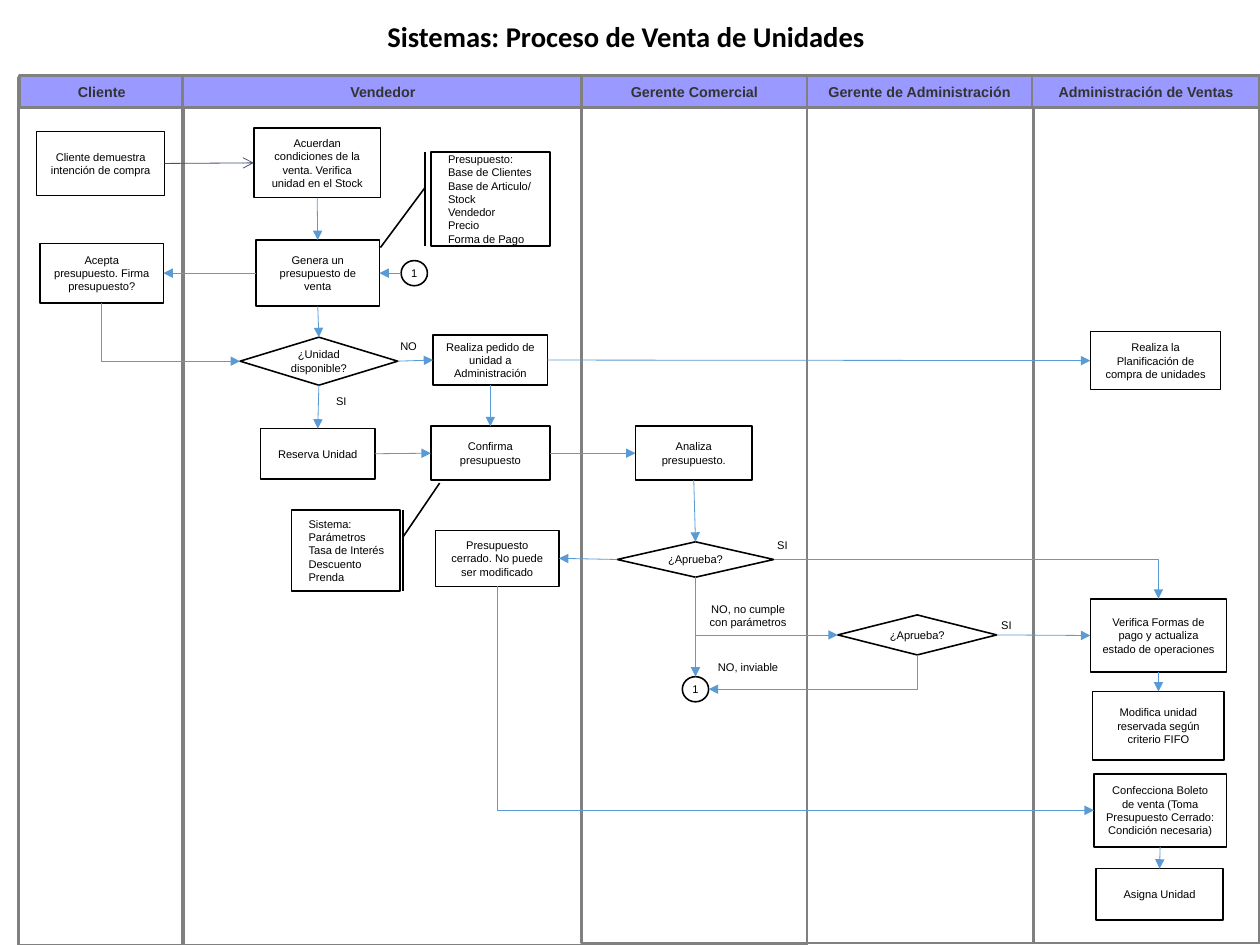
from collections import namedtuple

from pptx import Presentation
from pptx.dml.color import RGBColor
from pptx.enum.shapes import MSO_CONNECTOR as Connector, MSO_SHAPE as Preset
from pptx.enum.text import MSO_ANCHOR as Anchor, PP_ALIGN as Align
from pptx.oxml.ns import qn
from pptx.oxml.xmlchemy import OxmlElement
from pptx.util import Cm, Inches, Pt

BLACK = RGBColor(0x00, 0x00, 0x00)
WHITE = RGBColor(0xFF, 0xFF, 0xFF)
GRAY = RGBColor(0x80, 0x80, 0x80)
DARK = RGBColor(0x33, 0x33, 0x33)
LILAC = RGBColor(0x99, 0x99, 0xFF)
BLUE = RGBColor(0x5B, 0x9B, 0xD5)
SLATE = RGBColor(0x44, 0x54, 0x6A)

Box = namedtuple("Box", "left top width height")
LANE_TOP, LANE_HEIGHT, HEADER_HEIGHT = 0.66, 7.59, 0.28
TOP, LEFT, BOTTOM, RIGHT = range(4)
RECT, DIAMOND, CIRCLE = Preset.RECTANGLE, Preset.DIAMOND, Preset.OVAL

FRAMES = [(0.16, 0.68, 1.45), (1.6, 0.68, 5.46), (5.09, 0.66, 5.93), (7.06, 0.66, 1.98)]

LANES = [
    ("Cliente", 0.17, 1.44, [
        ("demuestra", RECT, (0.15, 0.49, 1.12, 0.56), "Cliente demuestra intención de compra"),
        ("acepta", RECT, (0.18, 1.47, 1.08, 0.52), "Acepta presupuesto. Firma presupuesto?"),
    ], []),
    ("Vendedor", 1.6, 3.5, [
        ("acuerdan", RECT, (0.62, 0.46, 1.11, 0.61),
         "Acuerdan condiciones de la venta. Verifica unidad en el Stock"),
        ("genera", RECT, (0.64, 1.44, 1.08, 0.58), "Genera un presupuesto de venta"),
        ("disponible", DIAMOND, (0.5, 2.29, 1.38, 0.42), "¿Unidad disponible?"),
        ("pedido", RECT, (2.19, 2.27, 1, 0.44), "Realiza pedido de unidad a Administración"),
        ("reserva", RECT, (0.68, 3.09, 1, 0.44), "Reserva Unidad"),
        ("confirma", RECT, (2.17, 3.07, 1.04, 0.47), "Confirma presupuesto"),
        ("cerrado", RECT, (2.21, 3.98, 1.08, 0.49), "Presupuesto cerrado. No puede ser modificado"),
        ("regreso", CIRCLE, (1.91, 1.62, 0.23, 0.22), "1"),
    ], [((1.24, 2.74, 0.29, 0.21), "SI"), ((1.76, 2.26, 0.43, 0.2), "NO")]),
    ("Gerente Comercial", 5.09, 1.97, [
        ("analiza", RECT, (0.47, 3.07, 1.02, 0.47), "Analiza presupuesto."),
        ("aprueba comercial", DIAMOND, (0.31, 4.08, 1.37, 0.31), "¿Aprueba?"),
        ("rechazo", CIRCLE, (0.88, 5.26, 0.23, 0.22), "1"),
    ], [((1.61, 4, 0.29, 0.18), "SI"),
        ((0.97, 4.56, 0.97, 0.28), "NO, no cumple con parámetros"),
        ((0.97, 5.07, 0.97, 0.28), "NO, inviable")]),
    ("Gerente de Administración", 7.06, 1.97, [
        ("aprueba administración", DIAMOND, (0.27, 4.72, 1.39, 0.35), "¿Aprueba?"),
    ], [((1.6, 4.7, 0.29, 0.18), "SI")]),
    ("Administración de Ventas", 9.03, 1.99, [
        ("planifica", RECT, (0.51, 2.24, 1.14, 0.51), "Realiza la\nPlanificación de compra de unidades"),
        ("verifica", RECT, (0.51, 4.58, 1.19, 0.64),
         "Verifica Formas de pago y actualiza estado de operaciones"),
        ("modifica", RECT, (0.53, 5.39, 1.15, 0.6), "Modifica unidad reservada según criterio FIFO"),
        ("boleto", RECT, (0.54, 6.11, 1.16, 0.64),
         "Confecciona Boleto de venta (Toma Presupuesto Cerrado: Condición necesaria)"),
        ("asigna", RECT, (0.56, 6.94, 1.11, 0.45), "Asigna Unidad"),
    ], []),
]

NOTES = [
    (Box(3.77, 1.33, 1.04, 0.82), (0.379, -0.049, 1.019, -0.424),
     "Presupuesto:\nBase de Clientes\nBase de Articulo/ Stock\nVendedor\nPrecio\nForma de Pago"),
    (Box(2.55, 4.46, 0.95, 0.71), (0.333, 1.029, -0.33, 1.365),
     "Sistema: Parámetros\nTasa de Interés\nDescuento\nPrenda"),
]

LINKS = [
    ("acuerdan", BOTTOM, "genera", TOP),
    ("genera", LEFT, "acepta", RIGHT),
    ("regreso", LEFT, "genera", RIGHT),
    ("genera", BOTTOM, "disponible", TOP),
    ("acepta", BOTTOM, "disponible", LEFT),
    ("disponible", BOTTOM, "reserva", TOP),
    ("disponible", RIGHT, "pedido", LEFT),
    ("pedido", RIGHT, "planifica", LEFT),
    ("pedido", BOTTOM, "confirma", TOP),
    ("reserva", RIGHT, "confirma", LEFT),
    ("confirma", RIGHT, "analiza", LEFT),
    ("analiza", BOTTOM, "aprueba comercial", TOP),
    ("aprueba comercial", LEFT, "cerrado", RIGHT),
    ("aprueba comercial", RIGHT, "verifica", TOP),
    ("aprueba comercial", BOTTOM, "aprueba administración", LEFT),
    ("aprueba comercial", BOTTOM, "rechazo", TOP),
    ("aprueba administración", BOTTOM, "rechazo", RIGHT),
    ("aprueba administración", RIGHT, "verifica", LEFT),
    ("cerrado", BOTTOM, "boleto", LEFT),
    ("verifica", BOTTOM, "modifica", TOP),
    ("boleto", BOTTOM, "asigna", TOP),
]


def write(shape, text, size=7, color=BLACK, bold=False, align=Align.CENTER,
          font="Arial", anchor=Anchor.MIDDLE, left=0.1, right=0.1):
    frame = shape.text_frame
    frame.word_wrap = True
    frame.vertical_anchor = anchor
    frame.margin_left, frame.margin_right = Inches(left), Inches(right)
    frame.text = text
    for paragraph in frame.paragraphs:
        paragraph.alignment = align
        paragraph.font.name, paragraph.font.size = font, Pt(size)
        paragraph.font.bold = bold
        paragraph.font.color.rgb = color


def add_box(slide, preset, box, fill=WHITE, line=BLACK, weight=1):
    shape = slide.shapes.add_shape(preset, *map(Inches, box))
    shape.shadow.inherit = False
    if fill is None:
        shape.fill.background()
    else:
        shape.fill.solid()
        shape.fill.fore_color.rgb = fill
    shape.line.color.rgb = line
    shape.line.width = Pt(weight)
    return shape


def add_title(slide, box):
    title = slide.shapes.add_textbox(*map(Inches, box))
    write(title, "Sistemas: Proceso de Venta de Unidades", 18, bold=True,
          align=Align.LEFT, font="Calibri", anchor=Anchor.TOP)


def add_lane(slide, box, name, steps, labels):
    header = add_box(slide, RECT, box._replace(height=HEADER_HEIGHT), LILAC, GRAY, 1.7)
    write(header, name, 9, DARK, True)
    shapes = {}
    for key, preset, (left, top, width, height), text in steps:
        place = Box(box.left + left, box.top + top, width, height)
        shapes[key] = add_box(slide, preset, place)
        margin = 0.1 if preset == RECT else 0
        write(shapes[key], text, left=margin, right=margin)
    for (left, top, width, height), text in labels:
        place = Box(box.left + left, box.top + top, width, height)
        label = slide.shapes.add_textbox(*map(Inches, place))
        write(label, text, anchor=Anchor.TOP, left=0.08, right=0.08)
    return shapes


def add_note(slide, box, adjustments, text):
    note = add_box(slide, Preset.LINE_CALLOUT_1_BORDER_AND_ACCENT_BAR, box)
    for index, value in enumerate(adjustments):
        note.adjustments[index] = value
    write(note, text, align=Align.LEFT, left=0.15)


def side_point(shape, side):
    across = {LEFT: 0, RIGHT: 2}.get(side, 1)
    down = {TOP: 0, BOTTOM: 2}.get(side, 1)
    return shape.left + shape.width * across // 2, shape.top + shape.height * down // 2


def add_elbow(slide, start, end, down_first):
    (x1, y1), (x2, y2) = start, end
    width, height = abs(x2 - x1), abs(y2 - y1)
    if down_first:
        width, height = height, width
    left, top = (x1 + x2 - width) // 2, (y1 + y2 - height) // 2
    connector = slide.shapes.add_connector(Connector.ELBOW, left, top, left + width, top + height)
    properties = connector.element.spPr
    properties.find(qn("a:prstGeom")).set("prst", "bentConnector2")
    if down_first:
        transform = properties.find(qn("a:xfrm"))
        transform.set("rot", str((270 if x2 > x1 else 90) * 60000))
        if x2 > x1:
            transform.set("flipH", "1")
    return connector


def add_link(slide, source, source_side, target, target_side, color=BLUE, head="triangle"):
    start, end = side_point(source, source_side), side_point(target, target_side)
    if source_side % 2 == target_side % 2:
        connector = slide.shapes.add_connector(Connector.STRAIGHT, *start, *end)
        if source.auto_shape_type != CIRCLE:
            connector.begin_connect(source, source_side)
        if target.auto_shape_type != CIRCLE:
            connector.end_connect(target, target_side)
    else:
        connector = add_elbow(slide, start, end, source_side == BOTTOM)
    connector.line.color.rgb = color
    connector.line.width = Pt(0.5)
    tail = OxmlElement("a:tailEnd")
    tail.set("type", head)
    properties = connector.element.spPr
    properties.find(qn("a:ln")).append(tail)
    properties.append(OxmlElement("a:effectLst"))


presentation = Presentation()
presentation.slide_width, presentation.slide_height = Cm(28), Cm(21)
slide = presentation.slides.add_slide(presentation.slide_layouts[6])
add_title(slide, Box(3.29, 0.12, 4.69, 0.4))
for left, top, width in FRAMES:
    add_box(slide, RECT, Box(left, top, width, LANE_HEIGHT), None, GRAY, 1.7)
shapes = {}
for name, left, width, steps, labels in LANES:
    shapes.update(add_lane(slide, Box(left, LANE_TOP, width, LANE_HEIGHT), name, steps, labels))
for note in NOTES:
    add_note(slide, *note)
add_link(slide, shapes["demuestra"], RIGHT, shapes["acuerdan"], LEFT, SLATE, "arrow")
for source, source_side, target, target_side in LINKS:
    add_link(slide, shapes[source], source_side, shapes[target], target_side)
presentation.save("out.pptx")
